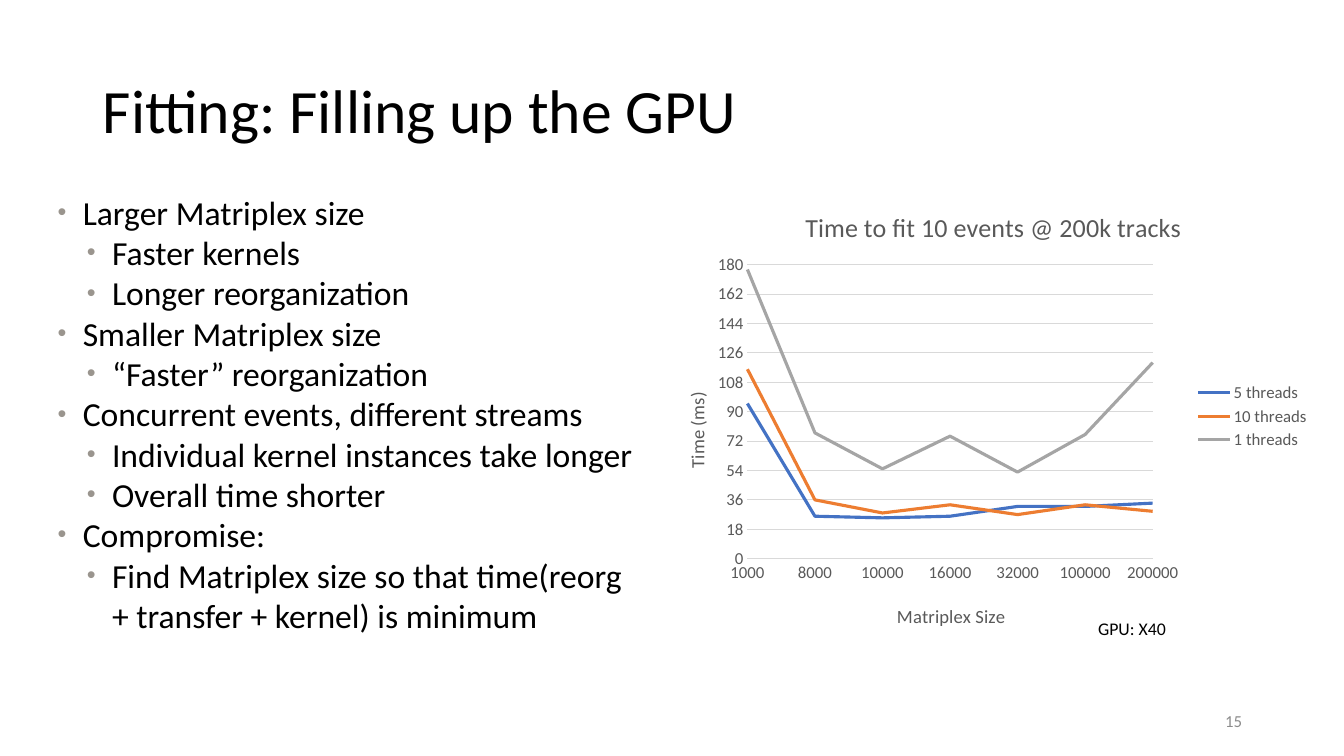
from lxml.etree import SubElement
from pptx import Presentation
from pptx.chart.data import CategoryChartData as ChartData
from pptx.dml.color import RGBColor as Color
from pptx.enum.chart import XL_CHART_TYPE as ChartType, XL_LEGEND_POSITION as LegendSide
from pptx.enum.chart import XL_TICK_MARK as TickMark
from pptx.enum.text import MSO_ANCHOR as Anchor, MSO_AUTO_SIZE as AutoSize, PP_ALIGN as Align
from pptx.oxml.ns import qn
from pptx.util import Inches, Pt

WIDTH, HEIGHT = Inches(13.33), Inches(7.5)
FONT = "Calibri"
COLORS = {
    "text": "000000", "bullet": "9A958E", "number": "8C8C8C",
    "label": "595959", "grid": "D9D9D9",
}
POINTS = [
    (0, "Larger Matriplex size"),
    (1, "Faster kernels"),
    (1, "Longer reorganization"),
    (0, "Smaller Matriplex size"),
    (1, "“Faster” reorganization"),
    (0, "Concurrent events, different streams"),
    (1, "Individual kernel instances take longer"),
    (1, "Overall time shorter"),
    (0, "Compromise:"),
    (1, "Find Matriplex size so that time(reorg + transfer + kernel) is minimum"),
]
SIZES = ["1000", "8000", "10000", "16000", "32000", "100000", "200000"]
TIMINGS = [
    ("5 threads", "4472C4", (95, 26, 25, 26, 32, 32, 34)),
    ("10 threads", "ED7D31", (116, 36, 28, 33, 27, 33, 29)),
    ("1 threads", "A5A5A5", (177, 77, 55, 75, 53, 76, 120)),
]


def area(left, top, width, height):
    return [int(WIDTH * left / 100), int(HEIGHT * top / 100),
            int(WIDTH * width / 100), int(HEIGHT * height / 100)]


def assign(target, values):
    for name, value in values.items():
        setattr(target, name, value)


def style(font, size, color):
    assign(font, {"name": FONT, "size": Pt(size), "bold": False})
    font.color.rgb = Color.from_string(COLORS[color])


def place(shape, box):
    assign(shape, dict(zip(("left", "top", "width", "height"), box)))


def set_margins(frame, margin):
    assign(frame, {f"margin_{side}": Inches(margin)
                   for side in ("left", "right", "top", "bottom")})


def write(para, text, size, color, **settings):
    assign(para, settings)
    span = para.add_run()
    span.text = text
    style(span.font, size, color)


def add_label(page, box, text, size, color, margin, **settings):
    frame = page.shapes.add_textbox(*box).text_frame
    set_margins(frame, margin)
    assign(frame, {"vertical_anchor": Anchor.MIDDLE, "word_wrap": False})
    write(frame.paragraphs[0], text, size, color, **settings)


def add_bullet(para, level):
    para.level = level
    props = para._p.get_or_add_pPr()
    props.set("marL", str(Inches((0.25, 0.54)[level])))
    props.set("indent", str(-Inches(0.25)))
    tint = SubElement(props, qn("a:buClr"))
    SubElement(tint, qn("a:srgbClr"), val=COLORS["bullet"])
    SubElement(props, qn("a:buSzPct"), val="75000")
    SubElement(props, qn("a:buFont"), typeface="Arial")
    SubElement(props, qn("a:buChar"), char="•")


def fill_title(title):
    place(title, area(6.9, 5.33, 86.27, 19.33))
    assign(title.text_frame, {"vertical_anchor": Anchor.MIDDLE, "auto_size": AutoSize.NONE})
    write(title.text_frame.paragraphs[0], "Fitting: Filling up the GPU", 44, "text",
          alignment=Align.LEFT, line_spacing=0.9)


def fill_list(body):
    place(body, area(3.98, 24.8, 43.59, 60.27))
    frame = body.text_frame
    set_margins(frame, 0.04)
    assign(frame, {"vertical_anchor": Anchor.TOP, "auto_size": AutoSize.NONE,
                   "word_wrap": True})
    for index, (level, text) in enumerate(POINTS):
        para = frame.add_paragraph() if index else frame.paragraphs[0]
        add_bullet(para, level)
        write(para, text, 24, "text", space_before=Pt(0), alignment=Align.LEFT)


def arrange(parent, previous, **shares):
    for old in parent.findall(qn("c:layout")):
        parent.remove(old)
    layout = SubElement(parent, qn("c:layout"))
    manual = SubElement(layout, qn("c:manualLayout"))
    if previous is None:
        SubElement(manual, qn("c:layoutTarget"), val="inner")
        parent.insert(0, layout)
    else:
        parent.find(qn(previous)).addnext(layout)
    for mode in ("xMode", "yMode"):
        SubElement(manual, qn(f"c:{mode}"), val="edge")
    for name, share in shares.items():
        SubElement(manual, qn(f"c:{name}"), val=str(share))


def add_heading(heading, text, size, left, top):
    write(heading.text_frame.paragraphs[0], text, size, "label")
    arrange(heading._element, "c:tx", x=left, y=top)


def format_axes(chart):
    across, up = chart.category_axis, chart.value_axis
    for axis in (across, up):
        assign(axis, {"major_tick_mark": TickMark.NONE, "minor_tick_mark": TickMark.NONE})
        style(axis.tick_labels.font, 12, "label")
    assign(up, {"minimum_scale": 0, "maximum_scale": 180, "major_unit": 18,
                "has_major_gridlines": True})
    up.format.line.fill.background()
    for line in (across.format.line, up.major_gridlines.format.line):
        line.color.rgb = Color.from_string(COLORS["grid"])
        line.width = Pt(0.75)
    crossing = SubElement(up._element, qn("c:crossBetween"), val="midCat")
    up._element.find(qn("c:majorUnit")).addprevious(crossing)
    add_heading(across.axis_title, "Matriplex Size", 13.3, 0.36, 0.9)
    add_heading(up.axis_title, "Time (ms)", 13.3, 0.04, 0.44)
    turned = next(up.axis_title._element.iter(qn("a:bodyPr")))
    turned.set("rot", "-5400000")
    turned.set("vert", "horz")


def add_timing_chart(page):
    data = ChartData()
    data.categories = SIZES
    for name, _, times in TIMINGS:
        data.add_series(name, times)
    chart = page.shapes.add_chart(
        ChartType.LINE, *area(48.69, 24.67, 49.44, 60.8), data).chart
    style(chart.font, 10, "text")
    chart.has_title = True
    add_heading(chart.chart_title, "Time to fit 10 events @ 200k tracks", 18.6, 0.22, 0.04)
    chart.plots[0].vary_by_categories = False
    for series, (_, color, _) in zip(chart.plots[0].series, TIMINGS):
        series.smooth = False
        series.format.line.color.rgb = Color.from_string(color)
        series.format.line.width = Pt(2.25)
    format_axes(chart)
    chart.has_legend = True
    assign(chart.legend, {"position": LegendSide.RIGHT, "include_in_layout": False})
    style(chart.legend.font, 12, "label")
    arrange(chart.legend._element, "c:legendPos", x=0.81, y=0.42, w=0.18, h=0.16)
    arrange(chart._chartSpace.chart.plotArea, None, x=0.14, y=0.17, w=0.61, h=0.64)


def main():
    deck = Presentation()
    assign(deck, {"slide_width": WIDTH, "slide_height": HEIGHT})
    page = deck.slides.add_slide(deck.slide_layouts[1])
    fill_title(page.shapes.title)
    add_timing_chart(page)
    add_label(page, area(81.4, 81.2, 5.7, 3.87), "GPU: X40", 12.7, "text", 0.04)
    fill_list(page.placeholders[1])
    add_label(page, area(70.67, 92.67, 22.5, 5.33), "15", 12, "number", 0.1,
              alignment=Align.RIGHT)
    deck.save("out.pptx")


if __name__ == "__main__":
    main()
